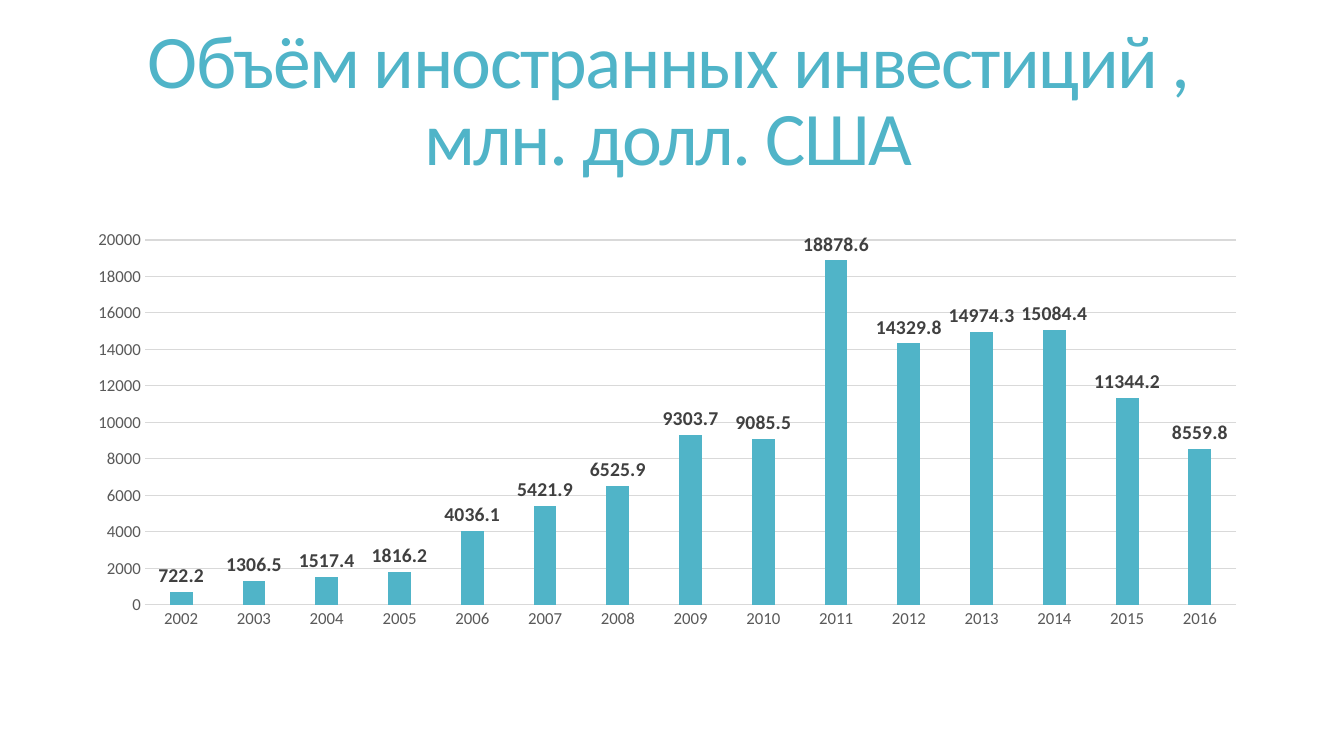
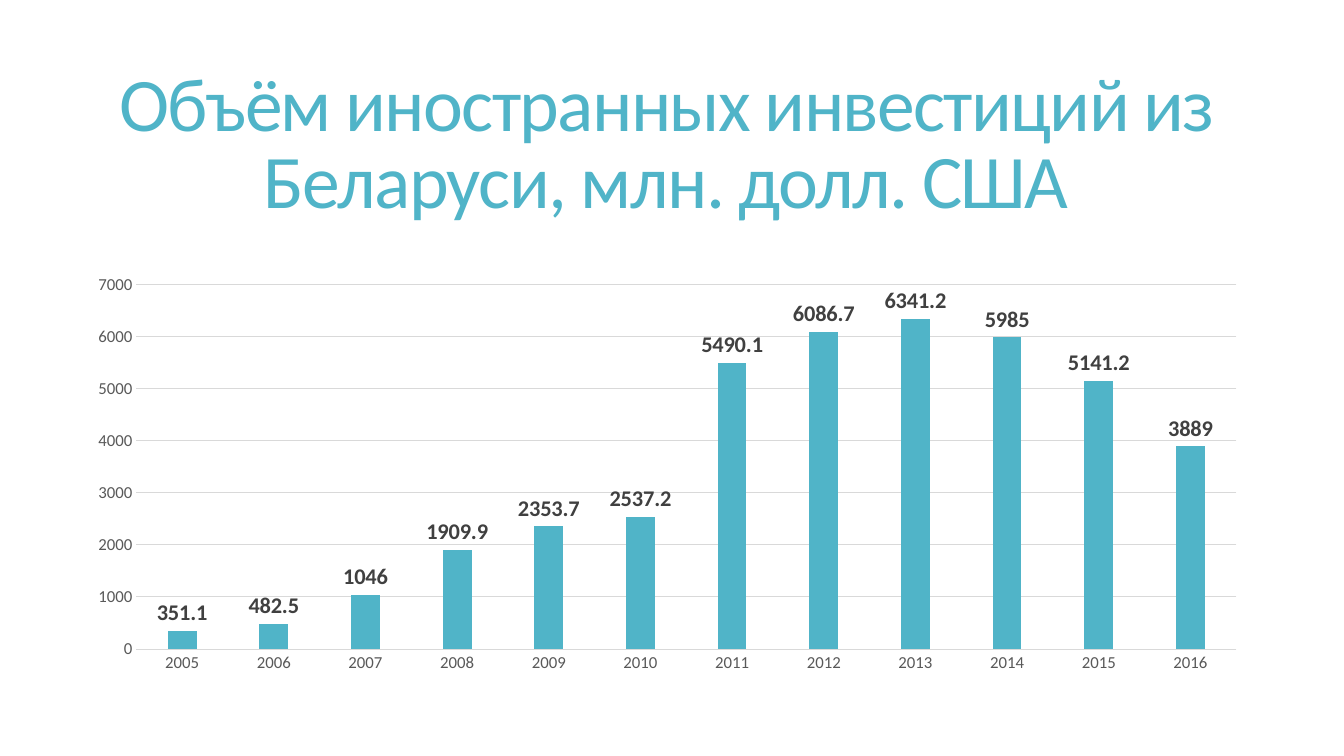
from pptx import Presentation
from pptx.chart.data import CategoryChartData
from pptx.dml.color import RGBColor
from pptx.enum import chart as ch, text
from pptx.util import Pt

# Shared style
FONT = "Calibri"
COLORS = {"accent": "50B4C8", "axis": "595959", "grid": "D9D9D9", "label": "404040"}

# Content: title, title box, chart top, label size, first year, values
SLIDES = [
    ("Объём иностранных инвестиций , млн. долл. США",
     (53.3, 6.5, 848.2, 136), 158.4, 14, 2002,
     [722.2, 1306.5, 1517.4, 1816.2, 4036.1, 5421.9, 6525.9, 9303.7, 9085.5,
      18878.6, 14329.8, 14974.3, 15084.4, 11344.2, 8559.8]),
    ("Объём иностранных инвестиций из Беларуси, млн. долл. США",
     (51.8, 39.6, 848.2, 130.3), 190.1, 16, 2005,
     [351.1, 482.5, 1046, 1909.9, 2353.7, 2537.2, 5490.1, 6086.7, 6341.2,
      5985, 5141.2, 3889]),
]


def style_font(font, size, color, bold=False):
    font.name, font.size, font.bold = FONT, Pt(size), bold
    font.color.rgb = RGBColor.from_string(COLORS[color])


def style_line(line):
    line.width = Pt(0.75)
    line.color.rgb = RGBColor.from_string(COLORS["grid"])


prs = Presentation()
prs.slide_width, prs.slide_height = Pt(960), Pt(540)

for title, box, chart_top, label_size, first_year, values in SLIDES:
    s = prs.slides.add_slide(prs.slide_layouts.get_by_name("Title Only"))

    # Title
    sp = s.shapes.title
    sp.left, sp.top, sp.width, sp.height = [Pt(v) for v in box]
    tf = sp.text_frame
    tf.word_wrap = True
    tf.auto_size = text.MSO_AUTO_SIZE.NONE
    tf.vertical_anchor = text.MSO_ANCHOR.MIDDLE
    p = tf.paragraphs[0]
    p.alignment = text.PP_ALIGN.CENTER
    p.line_spacing = 0.85
    r = p.add_run()
    r.text = title
    style_font(r.font, 54, "accent")
    r.font._element.set("spc", "-120")

    # Column chart
    data = CategoryChartData()
    data.categories = [str(first_year + i) for i in range(len(values))]
    data.add_series("Series 1", values)
    chart = s.shapes.add_chart(ch.XL_CHART_TYPE.COLUMN_CLUSTERED, Pt(53.3),
                               Pt(chart_top), Pt(846.7), Pt(296.6), data).chart
    chart.has_legend = chart.has_title = False
    chart.font.name, chart.font.size = FONT, Pt(10)

    # Axes and gridlines
    for axis in (chart.category_axis, chart.value_axis):
        axis.major_tick_mark = axis.minor_tick_mark = ch.XL_TICK_MARK.NONE
        style_font(axis.tick_labels.font, 12, "axis")
    style_line(chart.category_axis.format.line)
    chart.value_axis.format.line.fill.background()
    chart.value_axis.has_major_gridlines = True
    style_line(chart.value_axis.major_gridlines.format.line)

    # Columns and value labels
    plot = chart.plots[0]
    plot.gap_width, plot.overlap, plot.vary_by_categories = 219, -27, False
    fill = plot.series[0].format.fill
    fill.solid()
    fill.fore_color.rgb = RGBColor.from_string(COLORS["accent"])
    labels = plot.series[0].data_labels
    labels.show_value = True
    labels.position = ch.XL_LABEL_POSITION.OUTSIDE_END
    style_font(labels.font, label_size, "label", bold=True)

prs.save("out.pptx")
